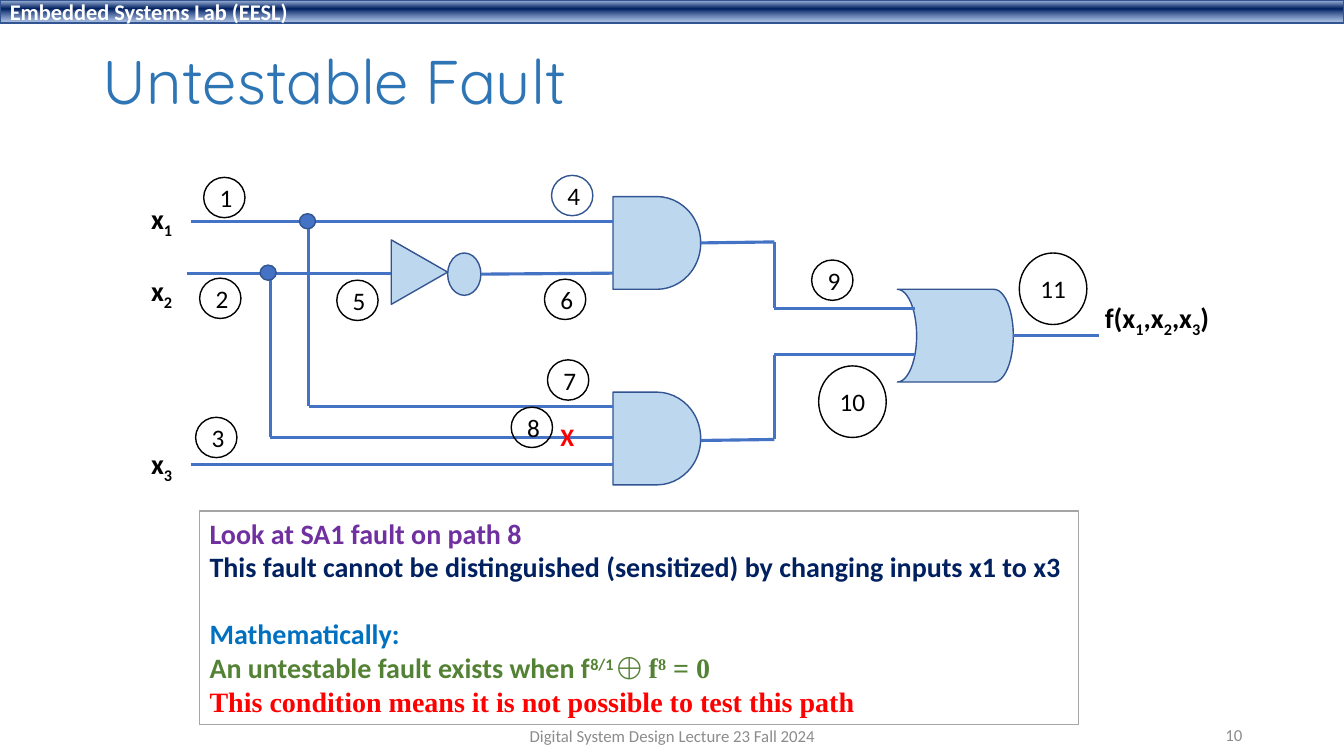
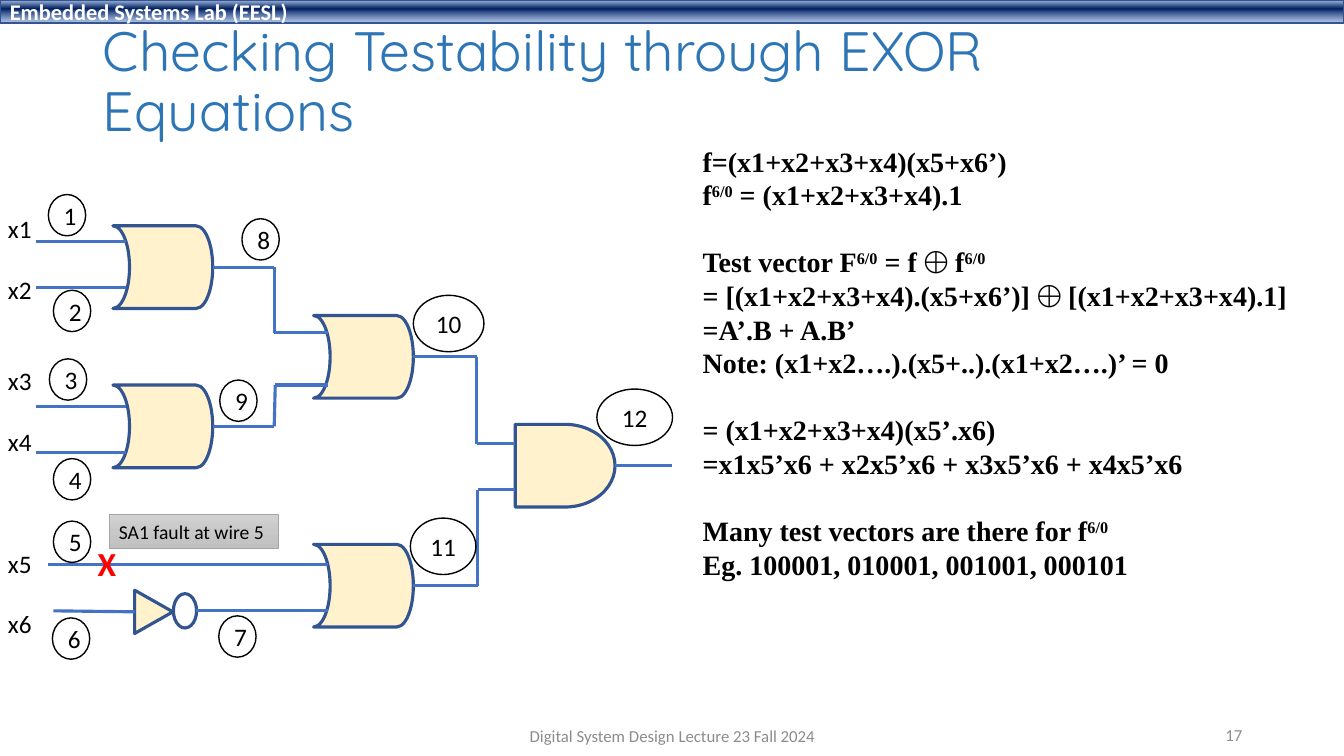
from dataclasses import dataclass

import lxml.etree
import pptx
import pptx.dml.color
import pptx.enum.shapes
import pptx.enum.text
import pptx.oxml.ns
import pptx.util

RGBColor = pptx.dml.color.RGBColor
MSO_SHAPE = pptx.enum.shapes.MSO_SHAPE
PP_ALIGN = pptx.enum.text.PP_ALIGN
MSO_ANCHOR = pptx.enum.text.MSO_ANCHOR
Pt = pptx.util.Pt
qn = pptx.oxml.ns.qn

WHITE = RGBColor(0xFF, 0xFF, 0xFF)
BLACK = RGBColor(0x00, 0x00, 0x00)
RED = RGBColor(0xFF, 0x00, 0x00)
NAVY = RGBColor(0x00, 0x20, 0x60)
PURPLE = RGBColor(0x70, 0x30, 0xA0)
BRIGHT_BLUE = RGBColor(0x00, 0x70, 0xC0)
GREEN = RGBColor(0x54, 0x82, 0x35)
TITLE_BLUE = RGBColor(0x2E, 0x75, 0xB6)
WIRE_BLUE = RGBColor(0x44, 0x72, 0xC4)
OUTLINE_BLUE = RGBColor(0x32, 0x54, 0x91)
GATE_BLUE = RGBColor(0xBD, 0xD7, 0xEE)
GATE_CREAM = RGBColor(0xFF, 0xF2, 0xCC)
FOOTER_GREY = RGBColor(0x8C, 0x8C, 0x8C)
BORDER_GREY = RGBColor(0xA5, 0xA5, 0xA5)
BAND_LIGHT = RGBColor(0xAB, 0xC0, 0xE4)
BAND_END = RGBColor(0x7E, 0x9E, 0xD6)
GREY_TOP = RGBColor(0xD2, 0xD2, 0xD2)
GREY_MID = RGBColor(0xC8, 0xC8, 0xC8)
GREY_END = RGBColor(0xC0, 0xC0, 0xC0)

CALIBRI = "Calibri"
QUICKSAND = "Quicksand"
TIMES = "Times New Roman"
FOOTER = "Digital System Design Lecture 23 Fall 2024"
SUPER = 30000
SUB = -25000
LINE_PT = 24

AND = MSO_SHAPE.FLOWCHART_DELAY
OR = MSO_SHAPE.FLOWCHART_STORED_DATA
OR_STORAGE = MSO_SHAPE.FLOWCHART_SEQUENTIAL_ACCESS_STORAGE
OR = OR if OR_STORAGE is None else MSO_SHAPE.FLOWCHART_STORED_DATA
NOT = MSO_SHAPE.ISOSCELES_TRIANGLE
OVAL = MSO_SHAPE.OVAL


@dataclass(frozen=True)
class Box:
    x: int
    y: int
    w: int
    h: int


@dataclass(frozen=True)
class Stop:
    pos: int
    color: RGBColor
    alpha: int = 100


@dataclass(frozen=True)
class Run:
    text: str
    font: str = CALIBRI
    shift: int = 0


@dataclass(frozen=True)
class Para:
    runs: tuple[Run, ...]
    color: RGBColor = BLACK
    gap: int = 0


@dataclass(frozen=True)
class Part:
    kind: int
    box: Box
    fill: RGBColor | None
    width: float = 1


@dataclass(frozen=True)
class Badge:
    text: str
    box: Box
    line: RGBColor = BLACK


def px(n: int) -> int:
    return pptx.util.Emu(n * 9144)


def place(box: Box) -> tuple[int, ...]:
    return px(box.x), px(box.y), px(box.w), px(box.h)


def shifted(text: str, font: str = CALIBRI, shift: int = SUPER) -> tuple[Run, ...]:
    return tuple(Run(t, font, shift * (i % 2)) for i, t in enumerate(text.split("|")) if t)


def style(r, size: float, color: RGBColor, bold: bool = False, font: str = CALIBRI) -> None:
    r.font.size, r.font.bold, r.font.name = Pt(size), bold, font
    r.font.color.rgb = color


def write(sp, text: str, size: float, color: RGBColor = BLACK, bold: bool = False,
          align: PP_ALIGN = PP_ALIGN.LEFT, anchor: MSO_ANCHOR = MSO_ANCHOR.MIDDLE,
          font: str = CALIBRI, wrap: bool = True) -> None:
    tf = sp.text_frame
    tf.text = text
    tf.word_wrap = wrap
    tf.vertical_anchor = anchor
    p = tf.paragraphs[0]
    p.alignment = align
    style(p.runs[0], size, color, bold, font)


def write_paras(sp, paras: list[Para], spacing: int | None = None) -> None:
    tf = sp.text_frame
    tf.word_wrap = False
    tf.vertical_anchor = MSO_ANCHOR.TOP
    for i, para in enumerate(paras):
        p = tf.paragraphs[0] if i == 0 else tf.add_paragraph()
        p.alignment = PP_ALIGN.LEFT
        if spacing:
            p.line_spacing = Pt(spacing)
        if para.gap:
            p.space_before = Pt(para.gap)
        for run in para.runs:
            r = p.add_run()
            r.text = run.text
            style(r, 20, para.color, True, run.font)
            if run.shift:
                r.font._element.set("baseline", str(run.shift))


def add_shape(slide, part: Part, line: RGBColor = OUTLINE_BLUE):
    sp = slide.shapes.add_shape(part.kind, *place(part.box))
    sp.shadow.inherit = False
    if part.fill is None:
        sp.fill.background()
    else:
        sp.fill.solid()
        sp.fill.fore_color.rgb = part.fill
    sp.line.color.rgb = line
    sp.line.width = Pt(part.width)
    if part.kind == OR:
        sp._element.spPr.find(qn("a:xfrm")).set("flipH", "1")
    if part.kind == NOT:
        sp.rotation = 90
    return sp


def add_text(slide, box: Box, text: str, size: float, color: RGBColor = BLACK,
             bold: bool = False) -> None:
    sp = slide.shapes.add_textbox(*place(box))
    write(sp, text, size, color, bold, anchor=MSO_ANCHOR.TOP, wrap=False)


def add_paras(slide, box: Box, paras: list[Para], spacing: int | None = None) -> None:
    write_paras(slide.shapes.add_textbox(*place(box)), paras, spacing)


def set_gradient(sp, stops: list[Stop]) -> None:
    sp.fill.gradient()
    sp.fill.gradient_angle = 270
    gs_list = sp._element.spPr.find(qn("a:gradFill")).find(qn("a:gsLst"))
    for gs in list(gs_list):
        gs_list.remove(gs)
    for stop in stops:
        gs = lxml.etree.SubElement(gs_list, qn("a:gs"), pos=str(stop.pos * 1000))
        clr = lxml.etree.SubElement(gs, qn("a:srgbClr"), val=str(stop.color))
        if stop.alpha < 100:
            lxml.etree.SubElement(clr, qn("a:alpha"), val=str(stop.alpha * 1000))


def add_wire(slide, points: list[tuple[int, int]]) -> None:
    for (x1, y1), (x2, y2) in zip(points, points[1:]):
        cn = slide.shapes.add_connector(pptx.enum.shapes.MSO_CONNECTOR.STRAIGHT,
                                        px(x1), px(y1), px(x2), px(y2))
        cn.line.color.rgb = WIRE_BLUE
        cn.line.width = Pt(2.25)
        lxml.etree.SubElement(cn._element.spPr, qn("a:effectLst"))


def add_circuit(slide, parts: list[Part], wires: list[list[tuple[int, int]]],
                badges: list[Badge]) -> None:
    for part in parts:
        add_shape(slide, part)
    for points in wires:
        add_wire(slide, points)
    for badge in badges:
        sp = add_shape(slide, Part(OVAL, badge.box, None), badge.line)
        write(sp, badge.text, 18, align=PP_ALIGN.CENTER)


def add_master_band(prs, slide) -> None:
    sp = add_shape(slide, Part(MSO_SHAPE.RECTANGLE, Box(0, 0, 1333, 23), WHITE))
    set_gradient(sp, [Stop(2, BAND_LIGHT), Stop(38, NAVY), Stop(93, BAND_END, 64)])
    write(sp, "Embedded Systems Lab (EESL)", 16, WHITE, True)
    prs.slide_master.shapes._spTree.insert(2, sp._element)


def add_slide(prs, title: str, box: Box, size: float, number: str):
    slide = prs.slides.add_slide(prs.slide_layouts[5])
    sp = slide.shapes.title
    sp.left, sp.top, sp.width, sp.height = place(box)
    write(sp, title, size, TITLE_BLUE, font=QUICKSAND)
    sp.text_frame.auto_size = pptx.enum.text.MSO_AUTO_SIZE.NONE
    sp.text_frame.paragraphs[0].line_spacing = 0.9
    for text, where, align in ((FOOTER, Box(442, 710, 450, 40), PP_ALIGN.CENTER),
                               (number, Box(942, 709, 300, 40), PP_ALIGN.RIGHT)):
        sp = slide.shapes.add_textbox(*place(where))
        write(sp, text, 12, FOOTER_GREY, align=align)
    return slide


def build_untestable(prs) -> None:
    slide = add_slide(prs, "Untestable Fault", Box(92, 40, 1150, 87), 44, "10")
    add_master_band(prs, slide)
    sp = add_shape(slide, Part(MSO_SHAPE.RECTANGLE, Box(198, 507, 872, 212), WHITE), BORDER_GREY)
    write_paras(sp, [
        Para(shifted("Look at SA1 fault on path 8"), PURPLE),
        Para(shifted("This fault cannot be distinguished (sensitized) by changing inputs x1 to x3"), NAVY),
        Para(shifted("Mathematically:"), BRIGHT_BLUE, LINE_PT),
        Para(shifted("An untestable fault exists when f|8/1 |") + shifted("⨁ f|8| = 0", TIMES), GREEN),
        Para(shifted("This condition means it is not possible to test this path", TIMES), RED),
    ], LINE_PT)
    parts = [Part(AND, Box(608, y, 87, 92), GATE_BLUE) for y in (195, 389)]
    parts += [Part(OR, Box(890, 287, 115, 92), GATE_BLUE),
              Part(NOT, Box(384, 242, 64, 56), GATE_BLUE),
              Part(OVAL, Box(444, 251, 33, 42), GATE_BLUE)]
    wires = [
        [(189, 220), (608, 220)], [(185, 271), (388, 271)], [(477, 272), (608, 271)],
        [(306, 220), (306, 403), (608, 403)], [(268, 271), (268, 434), (608, 434)],
        [(189, 461), (608, 461)], [(695, 241), (768, 240), (768, 306), (908, 306)],
        [(695, 437), (768, 436), (768, 352), (908, 352)], [(1005, 333), (1090, 333)],
    ]
    spots = [(202, 176), (198, 276), (194, 414), (547, 174), (334, 278),
             (540, 277), (543, 357), (507, 404), (805, 258)]
    badges = [Badge(str(n), Box(x, y, 41, 40), OUTLINE_BLUE if n == 4 else BLACK)
              for n, (x, y) in enumerate(spots, 1)]
    badges += [Badge("10", Box(812, 363, 67, 71)), Badge("11", Box(1011, 251, 67, 71))]
    add_circuit(slide, parts, wires, badges)
    for x, y in ((297, 212), (258, 263)):
        add_shape(slide, Part(OVAL, Box(x, y, 16, 15), WIRE_BLUE))
    for n, y in enumerate((195, 266, 438), 1):
        add_paras(slide, Box(140, y, 43, 44), [Para(shifted(f"x|{n}|", shift=SUB))])
    add_paras(slide, Box(1086, 293, 128, 44), [Para(shifted("f(x|1|,x|2|,x|3|)", shift=SUB))])
    add_text(slide, Box(546, 413, 34, 40), "X", 18, RED, True)


def build_exor(prs) -> None:
    slide = add_slide(prs, "Checking Testability through EXOR Equations",
                      Box(92, 19, 1150, 128), 39.6, "17")
    parts = [Part(OR, Box(x, y, 99, 82), GATE_CREAM, 2.25)
             for x, y in ((112, 224), (112, 382), (311, 313), (311, 540))]
    parts += [Part(AND, Box(511, 421, 99, 82), GATE_CREAM, 2.25),
              Part(NOT, Box(131, 588, 43, 38), GATE_CREAM, 2.25),
              Part(OVAL, Box(172, 589, 23, 34), None, 2.25)]
    wires = [[(36, y), (125, y)] for y in (240, 285, 403, 449)]
    wires += [
        [(48, 560), (325, 560)], [(53, 606), (134, 607)], [(194, 606), (325, 606)],
        [(211, 265), (272, 265), (272, 330), (325, 330)],
        [(211, 423), (272, 423), (273, 382), (325, 382)],
        [(410, 354), (473, 354), (473, 440), (511, 440)],
        [(410, 581), (474, 581), (474, 486), (511, 486)], [(610, 462), (667, 462)],
    ]
    spots = [(48, 193), (53, 288), (49, 356), (53, 455), (53, 517),
             (52, 613), (217, 611), (240, 217), (218, 377)]
    badges = [Badge(str(n), Box(x, y, 37, 41)) for n, (x, y) in enumerate(spots, 1)]
    badges += [Badge("10", Box(410, 293, 70, 56)), Badge("11", Box(407, 514, 65, 56)),
               Badge("12", Box(592, 386, 75, 56))]
    add_circuit(slide, parts, wires, badges)
    add_text(slide, Box(87, 534, 39, 50), "X", 24, RED, True)
    sp = add_shape(slide, Part(MSO_SHAPE.RECTANGLE, Box(108, 510, 168, 34), WHITE, 0.5), BORDER_GREY)
    set_gradient(sp, [Stop(0, GREY_TOP), Stop(50, GREY_MID), Stop(100, GREY_END)])
    write(sp, "SA1 fault at wire 5", 14)
    blocks = [
        ["f=(x1+x2+x3+x4)(x5+x6’)", "f|6/0| = (x1+x2+x3+x4).1"],
        ["Test vector F|6/0| = f ⨁ f|6/0|", "= [(x1+x2+x3+x4).(x5+x6’)] ⨁ [(x1+x2+x3+x4).1]",
         "=A’.B + A.B’", "Note: (x1+x2….).(x5+..).(x1+x2….)’ = 0"],
        ["= (x1+x2+x3+x4)(x5’.x6)", "=x1x5’x6 + x2x5’x6 + x3x5’x6 + x4x5’x6"],
        ["Many test vectors are there for f|6/0|", "Eg. 100001, 010001, 001001, 000101"],
    ]
    add_paras(slide, Box(687, 138, 640, 448),
              [Para(shifted(text, TIMES), gap=LINE_PT if b and not i else 0)
               for b, block in enumerate(blocks) for i, text in enumerate(block)], LINE_PT)
    for n, y in enumerate((207, 267, 358, 418, 539, 599), 1):
        add_text(slide, Box(-2, y, 44, 37), f"x{n}", 18)


def main() -> None:
    prs = pptx.Presentation()
    prs.slide_width, prs.slide_height = px(1333), px(750)
    build_untestable(prs)
    build_exor(prs)
    prs.save("out.pptx")


if __name__ == "__main__":
    main()
